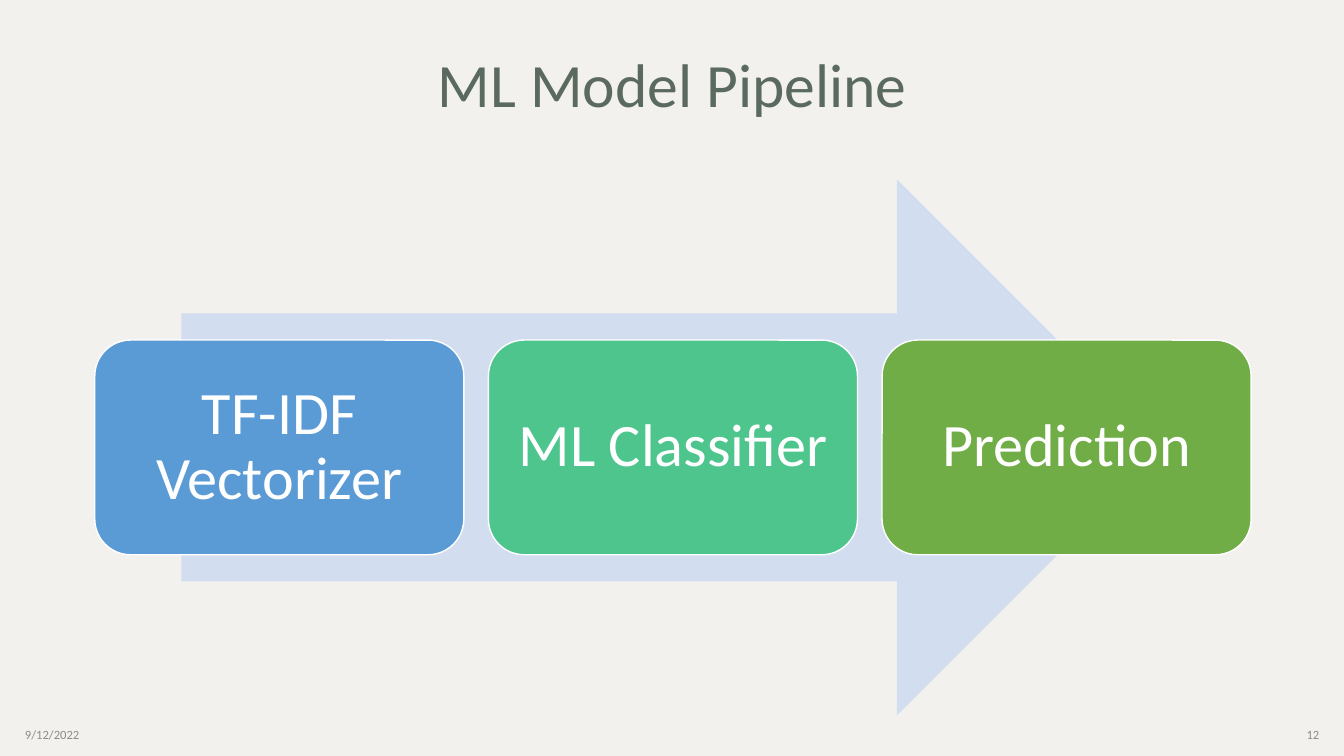
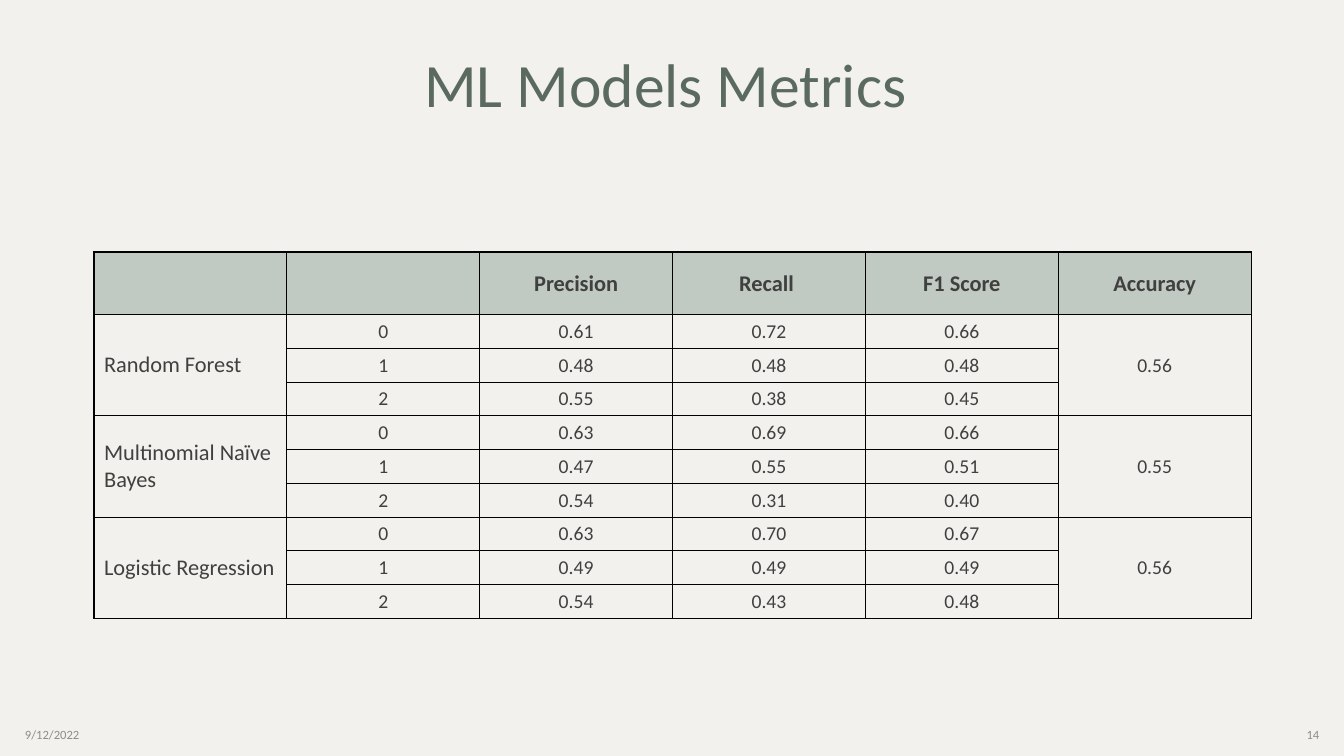
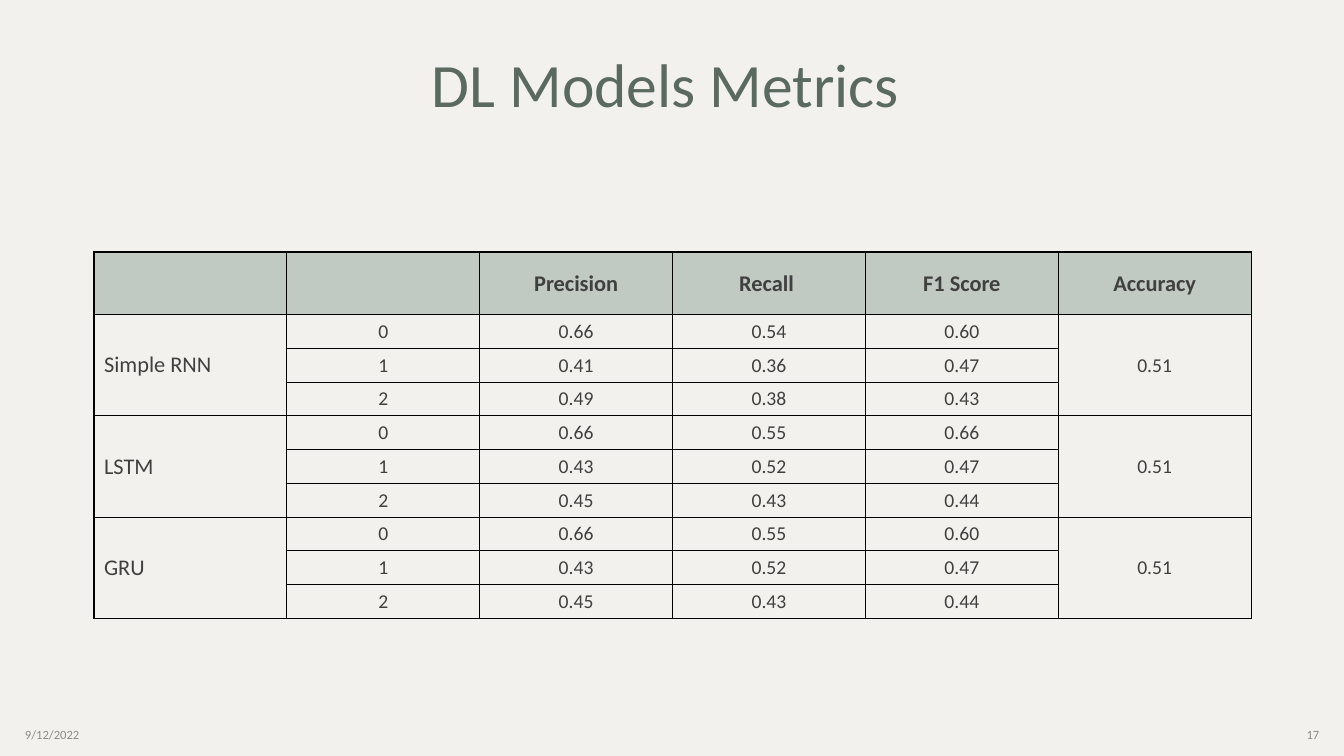
import pptx
import pptx.dml.color
import pptx.enum.shapes
import pptx.enum.text
import pptx.oxml
import pptx.oxml.ns
import pptx.util

Cm = pptx.util.Cm
Pt = pptx.util.Pt
RGBColor = pptx.dml.color.RGBColor
Align = pptx.enum.text.PP_ALIGN
Anchor = pptx.enum.text.MSO_ANCHOR
Preset = pptx.enum.shapes.MSO_SHAPE

# Shared style
FONT = "Calibri"
BACKGROUND = RGBColor(0xF2, 0xF1, 0xEE)
TITLE_GREEN = RGBColor(0x5B, 0x6A, 0x5E)
FOOTER_GRAY = RGBColor(0x8C, 0x8C, 0x8C)
BODY_GRAY = RGBColor(0x40, 0x40, 0x40)
HEADER_FILL = RGBColor(0xC0, 0xC9, 0xC2)
ARROW_BLUE = RGBColor(0xD2, 0xDE, 0xEF)
STEP_BLUE = RGBColor(0x5B, 0x9B, 0xD5)
STEP_TEAL = RGBColor(0x4D, 0xC5, 0x8D)
STEP_GREEN = RGBColor(0x70, 0xAD, 0x47)
WHITE = RGBColor(0xFF, 0xFF, 0xFF)
DATE = "9/12/2022"

# Content: model, accuracy, then precision, recall and F1 for each class
HEADINGS = ["", "", "Precision", "Recall ", "F1 Score", "Accuracy"]
ML_METRICS = [
    ("Random Forest", "0.56", ["0.61 0.72 0.66", "0.48 0.48 0.48", "0.55 0.38 0.45"]),
    ("Multinomial Naïve Bayes", "0.55", ["0.63 0.69 0.66", "0.47 0.55 0.51", "0.54 0.31 0.40"]),
    ("Logistic Regression", "0.56", ["0.63 0.70 0.67", "0.49 0.49 0.49", "0.54 0.43 0.48"]),
]
DL_METRICS = [
    ("Simple RNN", "0.51", ["0.66 0.54 0.60", "0.41 0.36 0.47", "0.49 0.38 0.43"]),
    ("LSTM", "0.51", ["0.66 0.55 0.66", "0.43 0.52 0.47", "0.45 0.43 0.44"]),
    ("GRU", "0.51", ["0.66 0.55 0.60", "0.43 0.52 0.47", "0.45 0.43 0.44"]),
]
PIPELINE_STEPS = [
    ("TF-IDF Vectorizer", STEP_BLUE),
    ("ML Classifier", STEP_TEAL),
    ("Prediction", STEP_GREEN),
]


def set_text(text_frame, text, size, color, align=Align.CENTER, bold=False, spacing=None):
    text_frame.text = text
    paragraph = text_frame.paragraphs[0]
    paragraph.alignment = align
    paragraph.line_spacing = spacing
    for run in paragraph.runs:
        run.font.name = FONT
        run.font.size = Pt(size)
        run.font.bold = bold
        run.font.color.rgb = color


def add_text(slide, left, top, width, height, text, size, color, **style):
    box = slide.shapes.add_textbox(Cm(left), Cm(top), Cm(width), Cm(height))
    box.text_frame.word_wrap = True
    box.text_frame.vertical_anchor = Anchor.MIDDLE
    set_text(box.text_frame, text, size, color, **style)


def add_preset(slide, preset, left, top, width, height, fill):
    shape = slide.shapes.add_shape(preset, Cm(left), Cm(top), Cm(width), Cm(height))
    shape.shadow.inherit = False
    shape.fill.solid()
    shape.fill.fore_color.rgb = fill
    shape.line.fill.background()
    return shape


def add_base_slide(presentation, title, number):
    """Add a slide with its title, date and number."""
    slide = presentation.slides.add_slide(presentation.slide_layouts[6])
    add_text(slide, 2.37, 0.33, 29.16, 3.76, title, 44, TITLE_GREEN, spacing=0.9)
    add_text(slide, 0.38, 18.01, 7.62, 1.01, DATE, 9, FOOTER_GRAY, align=Align.LEFT)
    add_text(slide, 25.88, 18.01, 7.62, 1.01, number, 9, FOOTER_GRAY, align=Align.RIGHT)
    return slide


def add_pipeline(slide, steps):
    add_preset(slide, Preset.RIGHT_ARROW, 4.57, 4.52, 24.79, 13.51, ARROW_BLUE)
    left, width, gap = 2.39, 9.3, 0.62
    for index, (text, fill) in enumerate(steps):
        step = add_preset(slide, Preset.ROUNDED_RECTANGLE,
                          left + index * (width + gap), 8.57, width, 5.41, fill)
        step.line.color.rgb = WHITE
        step.line.width = Pt(1)
        frame = step.text_frame
        frame.word_wrap = True
        frame.vertical_anchor = Anchor.MIDDLE
        frame.margin_left = frame.margin_right = Cm(0.46)
        frame.margin_top = frame.margin_bottom = Cm(0.46)
        set_text(frame, text, 43, WHITE, spacing=0.9)


def set_borders(cell):
    properties = cell._tc.get_or_add_tcPr()
    for side in ("lnL", "lnR", "lnT", "lnB"):
        properties.append(pptx.oxml.parse_xml(
            f'<a:{side} {pptx.oxml.ns.nsdecls("a")} w="{Pt(1)}"><a:solidFill>'
            f'<a:srgbClr val="000000"/></a:solidFill></a:{side}>'))


def fill_cell(cell, text, size, **style):
    cell.vertical_anchor = Anchor.MIDDLE
    set_text(cell.text_frame, text, size, BODY_GRAY, **style)


def add_metrics_table(slide, models):
    column_width, header_height, row_height = 4.86, 1.58, 0.85
    row_count = 1 + sum(len(scores) for _, _, scores in models)
    column_count = len(HEADINGS)
    table = slide.shapes.add_table(
        row_count, column_count, Cm(2.37), Cm(6.35), Cm(column_width * column_count),
        Cm(header_height + row_height * (row_count - 1))).table
    table.first_row = table.horz_banding = False
    for column in table.columns:
        column.width = Cm(column_width)
    for index, row in enumerate(table.rows):
        row.height = Cm(row_height if index else header_height)
        for cell in row.cells:
            set_borders(cell)
            cell.fill.background()

    # Header row
    for cell, heading in zip(table.rows[0].cells, HEADINGS):
        cell.fill.solid()
        cell.fill.fore_color.rgb = HEADER_FILL
        fill_cell(cell, heading, 16, bold=True)

    # One block of class rows for each model
    top = 1
    for model, accuracy, scores in models:
        bottom = top + len(scores) - 1
        for column in (0, column_count - 1):
            table.cell(top, column).merge(table.cell(bottom, column))
        fill_cell(table.cell(top, 0), model, 16, align=Align.LEFT)
        fill_cell(table.cell(top, column_count - 1), accuracy, 14)
        for label, values in enumerate(scores):
            for column, text in enumerate([str(label)] + values.split(), start=1):
                fill_cell(table.cell(top + label, column), text, 14)
        top = bottom + 1


def main():
    presentation = pptx.Presentation()
    presentation.slide_width = Cm(33.87)
    presentation.slide_height = Cm(19.05)
    background = presentation.slide_master.background.fill
    background.solid()
    background.fore_color.rgb = BACKGROUND

    add_pipeline(add_base_slide(presentation, "ML Model Pipeline", "12"), PIPELINE_STEPS)
    add_metrics_table(add_base_slide(presentation, "ML Models Metrics ", "14"), ML_METRICS)
    add_metrics_table(add_base_slide(presentation, "DL Models Metrics ", "17"), DL_METRICS)
    presentation.save("out.pptx")


if __name__ == "__main__":
    main()
